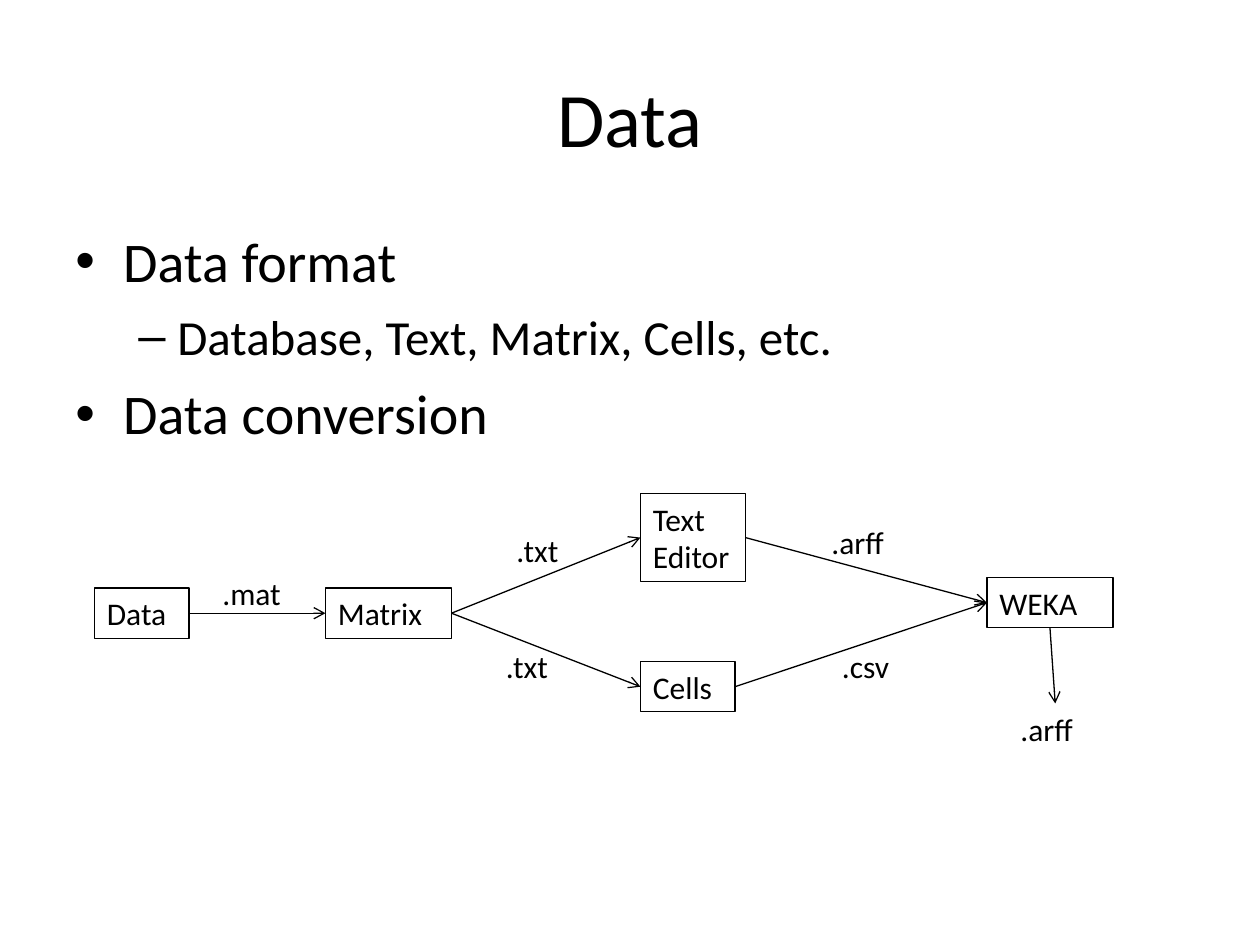
"""Build a slide on data formats and the conversion flow between tools."""
from pptx import Presentation, util as u
from pptx.dml.color import RGBColor
from pptx.enum import shapes, text
from pptx.oxml.ns import qn
from lxml import etree

BLACK = RGBColor(0, 0, 0)
WHITE = RGBColor(255, 255, 255)
FONT = "Calibri"
UNIT = u.Inches(1) // 12
TALL = 4.8

TITLE = "Data"
BODY = [
    (0, "Data format"),
    (1, "Database, Text, Matrix, Cells, etc."),
    (0, "Data conversion"),
]
LEVELS = [
    {"size": 32, "gap": 8, "left": 0.38, "hang": 0.38, "mark": "•"},
    {"size": 28, "gap": 7, "left": 0.81, "hang": 0.31, "mark": "–"},
]
BOXES = {
    "Matrix": (31, 56, 12, TALL),
    "Data": (9, 56, 9, TALL),
    "Cells": (61, 63, 9, TALL),
    "Text Editor": (61, 47, 10, 8.4),
    "WEKA": (94, 55, 12, TALL),
}
LABELS = {
    "mat": (".mat", 20, 54.1, 9),
    "upper": (".txt", 48, 50, 7),
    "lower": (".txt", 47, 61, 7),
    "arff": (".arff", 78, 49.2, 9),
    "csv": (".csv", 79, 61, 9),
    "result": (".arff", 96, 67, 9),
}
TOP, LEFT, BOTTOM, RIGHT = range(4)
LINKS = [
    ("Data", RIGHT, "Matrix", LEFT),
    ("Matrix", RIGHT, "Text Editor", LEFT),
    ("Matrix", RIGHT, "Cells", LEFT),
    ("Cells", RIGHT, "WEKA", LEFT),
    ("Text Editor", RIGHT, "WEKA", LEFT),
    ("WEKA", BOTTOM, "result", TOP),
]


def write(par, words, size):
    run = par.add_run()
    run.text = words
    run.font.size = u.Pt(size)
    run.font.name = FONT
    run.font.color.rgb = BLACK


def place(slide, words, x, y, w, h, size=18):
    cell = [round(n * UNIT) for n in (x, y, w, h)]
    box = slide.shapes.add_textbox(*cell)
    box.text_frame.word_wrap = True
    if words:
        write(box.text_frame.paragraphs[0], words, size)
    return box


def bullet(par, level, words):
    style = LEVELS[level]
    par.level = level
    par.space_before = u.Pt(style["gap"])
    props = par._p.get_or_add_pPr()
    props.set("marL", str(u.Inches(style["left"])))
    props.set("indent", str(-u.Inches(style["hang"])))
    etree.SubElement(props, qn("a:buFont"), typeface="Arial")
    etree.SubElement(props, qn("a:buChar"), char=style["mark"])
    write(par, words, style["size"])


def link(slide, start, out, end, into):
    line = slide.shapes.add_connector(shapes.MSO_CONNECTOR.STRAIGHT, 0, 0, 0, 0)
    line.begin_connect(start, out)
    line.end_connect(end, into)
    line.line.color.rgb = BLACK
    line.line.width = u.Pt(0.75)
    etree.SubElement(line.line._get_or_add_ln(), qn("a:tailEnd"), type="arrow")
    etree.SubElement(line._element.spPr, qn("a:effectLst"))


def main():
    deck = Presentation()
    deck.slide_width, deck.slide_height = u.Inches(10), u.Inches(7.5)
    slide = deck.slides.add_slide(deck.slide_layouts[6])
    slide.background.fill.solid()
    slide.background.fill.fore_color.rgb = WHITE

    head = place(slide, TITLE, 6, 3.6, 108, 15, 44)
    head.text_frame.vertical_anchor = text.MSO_ANCHOR.MIDDLE
    head.text_frame.paragraphs[0].alignment = text.PP_ALIGN.CENTER

    frame = place(slide, "", 6, 21, 108, 59.4).text_frame
    for i, (level, words) in enumerate(BODY):
        par = frame.add_paragraph() if i else frame.paragraphs[0]
        bullet(par, level, words)

    nodes = {}
    for name, cell in BOXES.items():
        nodes[name] = place(slide, name, *cell)
        nodes[name].line.color.rgb = BLACK
        nodes[name].line.width = u.Pt(0.75)
    for name, (words, x, y, w) in LABELS.items():
        nodes[name] = place(slide, words, x, y, w, TALL)
    for start, out, end, into in LINKS:
        link(slide, nodes[start], out, nodes[end], into)

    deck.save("out.pptx")


if __name__ == "__main__":
    main()
